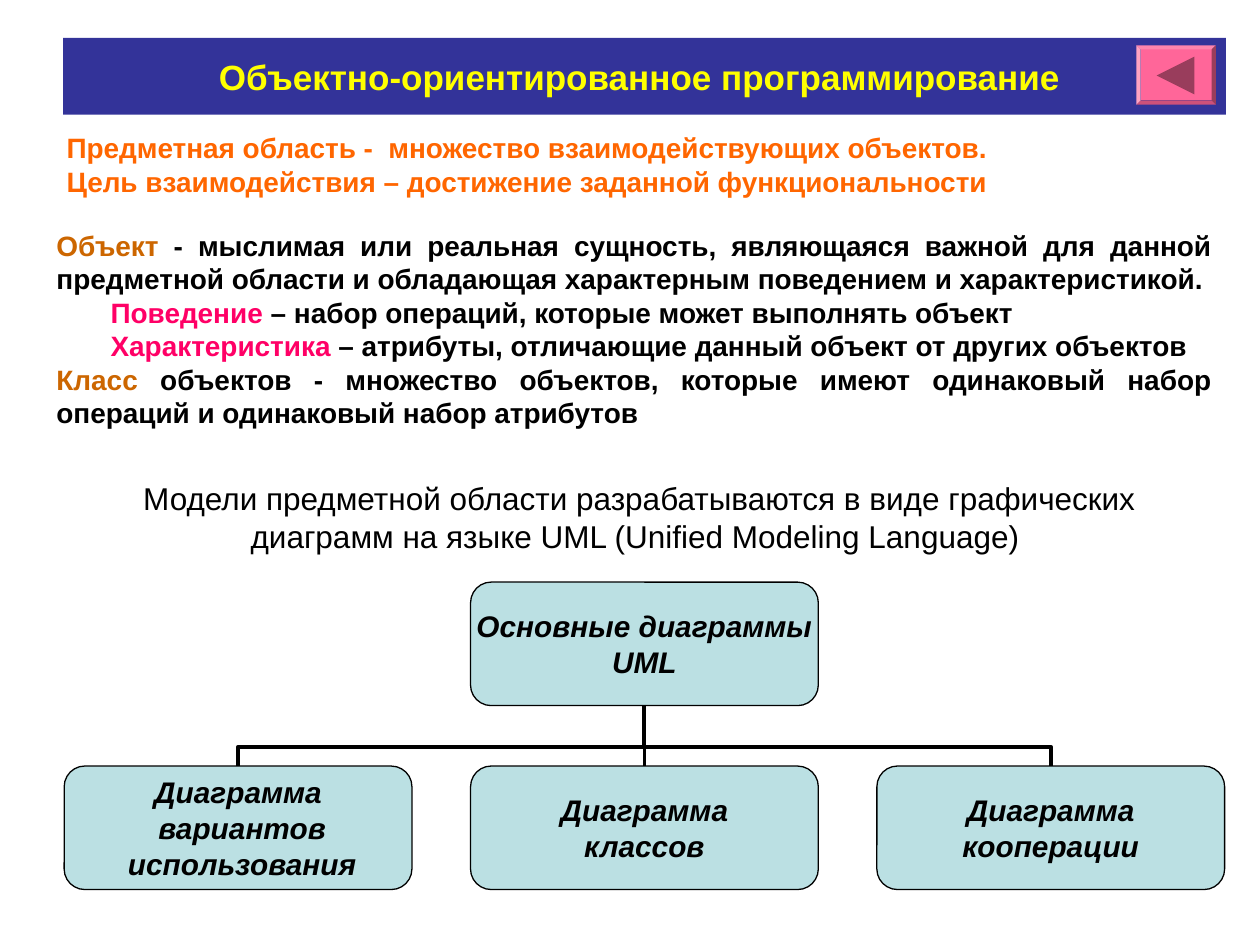
"""Builds a slide on object-oriented programming with a tree of UML diagrams."""
from lxml import etree
from pptx import Presentation
from pptx.dml.color import RGBColor
from pptx.enum.shapes import MSO_CONNECTOR as CONN, MSO_SHAPE as SHAPE
from pptx.enum.text import MSO_ANCHOR as ANCHOR, MSO_AUTO_SIZE as AUTO, PP_ALIGN as ALIGN
from pptx.oxml.ns import qn
from pptx.util import Inches, Pt

BLACK = RGBColor(0x00, 0x00, 0x00)
NAVY = RGBColor(0x33, 0x33, 0x99)
YELLOW = RGBColor(0xFF, 0xFF, 0x00)
ORANGE = RGBColor(0xFF, 0x66, 0x00)
BROWN = RGBColor(0xCC, 0x66, 0x00)
MAGENTA = RGBColor(0xFF, 0x00, 0x66)
PINK = RGBColor(0xFF, 0x66, 0x99)
PLUM = RGBColor(0x99, 0x3D, 0x5C)
TEAL = RGBColor(0xBB, 0xE0, 0xE3)


def write(sp, paragraphs, size=16, color=BLACK, bold=True, italic=False,
          align=ALIGN.JUSTIFY, anchor=ANCHOR.MIDDLE, wrap=True, inset=(0.1, 0.05)):
    tf = sp.text_frame
    tf.word_wrap, tf.auto_size, tf.vertical_anchor = wrap, AUTO.NONE, anchor
    tf.margin_left = tf.margin_right = Inches(inset[0])
    tf.margin_top = tf.margin_bottom = Inches(inset[1])
    for i, runs in enumerate(paragraphs):
        p = tf.add_paragraph() if i else tf.paragraphs[0]
        p.alignment = align
        for text, run_color in [(runs, color)] if isinstance(runs, str) else runs:
            r = p.add_run()
            r.text = text
            r.font.name, r.font.size = "Arial", Pt(size)
            r.font.bold, r.font.italic = bold, italic
            r.font.color.rgb = run_color
    return tf


def connect(kind, x1, y1, x2, y2):
    line = s.shapes.add_connector(kind, Inches(x1), Inches(y1), Inches(x2), Inches(y2))
    line.line.color.rgb = BLACK
    line.line.width = Pt(2.25)
    etree.SubElement(line._element.spPr, qn("a:effectLst"))
    return line


prs = Presentation()
prs.slide_width, prs.slide_height = Inches(10), Inches(7.5)
s = prs.slides.add_slide(prs.slide_layouts[5])

title = s.shapes.title
title.left, title.top = Inches(0.5), Inches(0.3)
title.width, title.height = Inches(9.23), Inches(0.61)
title.fill.solid()
title.fill.fore_color.rgb = NAVY
write(title, ["Объектно-ориентированное программирование "], size=20, color=YELLOW, align=ALIGN.CENTER)

domain = s.shapes.add_textbox(Inches(0.43), Inches(0.99), Inches(9.29), Inches(0.64))
write(domain, ["Предметная область -  множество взаимодействующих объектов.",
               "Цель взаимодействия – достижение заданной функциональности"],
      color=ORANGE, anchor=ANCHOR.TOP)

definitions = s.shapes.add_textbox(Inches(0.35), Inches(1.76), Inches(9.37), Inches(1.7))
tf = write(definitions, [
    [("Объект", BROWN), (" - мыслимая или реальная сущность, являющаяся важной для данной предметной "
                         "области и обладающая характерным поведением и характеристикой.", BLACK)],
    [("Поведение ", MAGENTA), ("– набор операций, которые может выполнять объект", BLACK)],
    [("Характеристика", MAGENTA), (" – атрибуты, отличающие данный объект от других объектов", BLACK)],
    [("Класс", BROWN), (" объектов - множество объектов, которые имеют одинаковый набор операций "
                        "и одинаковый набор атрибутов", BLACK)],
])
for p in tf.paragraphs[1:3]:
    p._p.get_or_add_pPr().set("marL", str(Inches(0.43)))

models = s.shapes.add_textbox(Inches(0.51), Inches(3.75), Inches(9.13), Inches(0.7))
write(models, ["Модели предметной области разрабатываются в виде графических диаграмм "
               "на языке UML (Unified Modeling Language) "], size=18, bold=False, align=ALIGN.CENTER)

BOX_W, BOX_H, STEP = 2.76, 0.98, 3.225
LEFT, ROOT_TOP, LEAF_TOP = 0.51, 4.62, 6.08
ROOT_BOTTOM = ROOT_TOP + BOX_H
GAP = LEAF_TOP - ROOT_BOTTOM
ROOT_X, MID_Y = LEFT + STEP + BOX_W / 2, ROOT_BOTTOM + GAP / 2

for side, turn in ((1, 270), (-1, 90)):
    x = ROOT_X + side * STEP / 2
    elbow = connect(CONN.ELBOW, x - side * GAP / 2, MID_Y + STEP / 2, x + side * GAP / 2, MID_Y - STEP / 2)
    elbow._element.spPr.find(qn("a:xfrm")).set("rot", str(turn * 60000))
    guides = elbow._element.spPr.find(qn("a:prstGeom")).get_or_add_avLst()
    etree.SubElement(guides, qn("a:gd"), name="adj1", fmla="val 31800")
trunk = connect(CONN.STRAIGHT, ROOT_X, LEAF_TOP, ROOT_X, ROOT_BOTTOM)

boxes = []
for column, top, lines in (
    (1, ROOT_TOP, ["Основные диаграммы", "UML"]),
    (0, LEAF_TOP, ["Диаграмма", " вариантов", " использования"]),
    (1, LEAF_TOP, ["Диаграмма", "классов"]),
    (2, LEAF_TOP, ["Диаграмма", "кооперации"]),
):
    sp = s.shapes.add_shape(SHAPE.ROUNDED_RECTANGLE, Inches(LEFT + column * STEP), Inches(top),
                            Inches(BOX_W), Inches(BOX_H))
    sp.shadow.inherit = False
    sp.fill.solid()
    sp.fill.fore_color.rgb = TEAL
    sp.line.color.rgb = BLACK
    sp.line.width = Pt(0.75)
    write(sp, lines, size=17, italic=True, align=ALIGN.CENTER, wrap=False, inset=(0, 0))
    boxes.append(sp)
trunk.begin_connect(boxes[2], 0)
trunk.end_connect(boxes[0], 2)

button = s.shapes.add_shape(SHAPE.BEVEL, Inches(9.02), Inches(0.36), Inches(0.63), Inches(0.47))
button.adjustments[0] = 0.07
builder = s.shapes.build_freeform(Inches(9.18), Inches(0.6))
builder.add_line_segments([(Inches(9.48), Inches(0.45)), (Inches(9.48), Inches(0.75))])
arrow = builder.convert_to_shape()
for sp, color in ((button, PINK), (arrow, PLUM)):
    sp.shadow.inherit = False
    sp.fill.solid()
    sp.fill.fore_color.rgb = color
    sp.line.fill.background()

prs.save("out.pptx")
